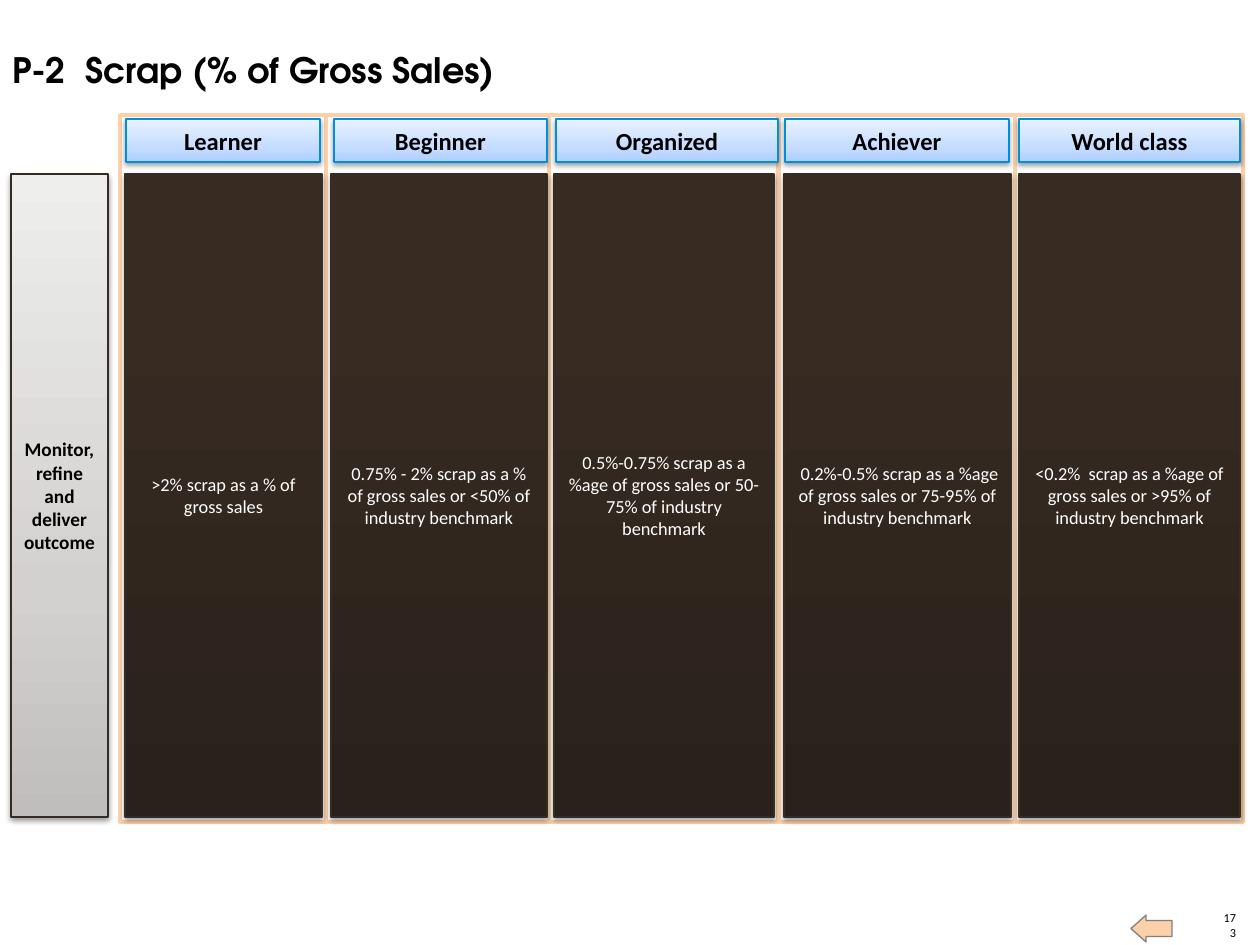
from lxml.etree import SubElement
from pptx import Presentation
from pptx.dml.color import RGBColor
from pptx.enum.shapes import MSO_SHAPE
from pptx.enum.text import MSO_ANCHOR, PP_ALIGN
from pptx.oxml.ns import qn
from pptx.util import Emu, Pt

PX = 914400 / 126
BLACK = RGBColor(0x00, 0x00, 0x00)
WHITE = RGBColor(0xFF, 0xFF, 0xFF)
PEACH = RGBColor(0xFC, 0xD1, 0xAA)
GREY = RGBColor(0x80, 0x80, 0x80)
BROWN = RGBColor(0x35, 0x2C, 0x25)
BLUE = RGBColor(0x00, 0x8F, 0xDC)

# Gradient stops run from the bottom edge to the top edge
STONE = [(0, RGBColor(0xC0, 0xBE, 0xBC)), (35, RGBColor(0xD3, 0xD1, 0xD0)),
         (100, RGBColor(0xEE, 0xEE, 0xED))]
COFFEE = [(0, RGBColor(0x2A, 0x21, 0x1B)), (80, RGBColor(0x37, 0x2B, 0x22)),
          (100, RGBColor(0x37, 0x2B, 0x22))]
SKY = [(0, RGBColor(0xAE, 0xCF, 0xFF)), (35, RGBColor(0xC6, 0xDD, 0xFF)),
       (100, RGBColor(0xE9, 0xF2, 0xFF))]

# Level, its text, then (left, width) of the frame, the body and the header
LEVELS = [
    ("Learner", ">2% scrap as a % of gross sales",
     (120, 207), (125, 197), (126, 194)),
    ("Beginner", "0.75% - 2% scrap as a % of gross sales or <50% of industry benchmark",
     (326, 226), (331, 216), (334, 213)),
    ("Organized", "0.5%-0.75% scrap as a %age of gross sales or 50-75% of industry benchmark",
     (549, 229), (554, 220), (556, 222)),
    ("Achiever", " 0.2%-0.5% scrap as a %age of gross sales or 75-95% of industry benchmark",
     (779, 236), (784, 227), (785, 224)),
    ("World class", "<0.2%  scrap as a %age of gross sales or >95% of industry benchmark",
     (1015, 228), (1019, 221), (1019, 221)),
]


def write(box, text, size, color, bold=False, align=PP_ALIGN.CENTER,
          anchor=MSO_ANCHOR.MIDDLE, font="Calibri"):
    box.text_frame.word_wrap = True
    box.text_frame.vertical_anchor = anchor
    para = box.text_frame.paragraphs[0]
    para.alignment = align
    span = para.add_run()
    span.text = text
    span.font.name = font
    span.font.size = Pt(size)
    span.font.bold = bold
    span.font.color.rgb = color


def add_panel(left, top, width, height, stops, line_color, shadow_alpha):
    """Add a rectangle with a vertical gradient and a soft shadow below."""
    panel = page.shapes.add_shape(
        MSO_SHAPE.RECTANGLE, *[Emu(round(n * PX)) for n in (left, top, width, height)])
    panel.fill.gradient()
    panel.fill.gradient_angle = 90
    properties = panel._element.spPr
    stop_list = properties.find(qn("a:gradFill")).find(qn("a:gsLst"))
    for old_stop in list(stop_list):
        stop_list.remove(old_stop)
    for position, color in stops:
        stop = SubElement(stop_list, qn("a:gs"), pos=str(position * 1000))
        SubElement(stop, qn("a:srgbClr"), val=str(color))
    panel.line.color.rgb = line_color
    panel.line.width = Pt(0.75)
    panel.shadow.inherit = False
    shadow = SubElement(properties.find(qn("a:effectLst")), qn("a:outerShdw"),
                        blurRad=str(Pt(3.1)), dist=str(Pt(1.6)),
                        dir="5400000", rotWithShape="0")
    shadow_color = SubElement(shadow, qn("a:srgbClr"), val=str(BLACK))
    SubElement(shadow_color, qn("a:alpha"), val=str(shadow_alpha * 1000))
    return panel


deck = Presentation()
deck.slide_width = Emu(round(1260 * PX))
deck.slide_height = Emu(round(945 * PX))
page = deck.slides.add_slide(deck.slide_layouts[6])

# Page number and back arrow
number = page.shapes.add_textbox(*[Emu(round(n * PX)) for n in (1221, 910, 15, 30)])
frame = number.text_frame
frame.margin_left = frame.margin_right = frame.margin_top = frame.margin_bottom = 0
write(number, "173", 7, BLACK, align=PP_ALIGN.RIGHT, anchor=MSO_ANCHOR.BOTTOM)

arrow = page.shapes.add_shape(
    MSO_SHAPE.RIGHT_ARROW, *[Emu(round(n * PX)) for n in (1131, 915, 41, 27)])
arrow.rotation = 180
arrow.adjustments[0] = 0.59
arrow.adjustments[1] = 0.56
arrow.fill.solid()
arrow.fill.fore_color.rgb = PEACH
arrow.line.color.rgb = GREY
arrow.line.width = Pt(0.75)
arrow.shadow.inherit = False

# Title and row label
title = page.shapes.add_textbox(*[Emu(round(n * PX)) for n in (0, 42, 1084, 55)])
write(title, "P-2  Scrap (% of Gross Sales)", 20, BLACK, bold=True,
      align=PP_ALIGN.LEFT, anchor=MSO_ANCHOR.TOP, font="TeX Gyre Adventor")

label = add_panel(11, 174, 97, 643, STONE, BROWN, 38)
write(label, "Monitor, refine and deliver outcome", 11, BLACK, bold=True)

# Frames lie behind all bodies and headers
for name, text, (left, width), body_span, header_span in LEVELS:
    border = page.shapes.add_shape(
        MSO_SHAPE.RECTANGLE, *[Emu(round(n * PX)) for n in (left, 115, width, 707)])
    border.fill.solid()
    border.fill.fore_color.rgb = WHITE
    border.line.color.rgb = PEACH
    border.line.width = Pt(2)
    border.shadow.inherit = False

for name, text, frame_span, (body_left, body_width), (head_left, head_width) in LEVELS:
    body = add_panel(body_left, 174, body_width, 643, COFFEE, BROWN, 35)
    write(body, text, 10.5, WHITE)
    header = add_panel(head_left, 119, head_width, 43, SKY, BLUE, 38)
    write(header, name, 14, BLACK, bold=True)

deck.save("out.pptx")
